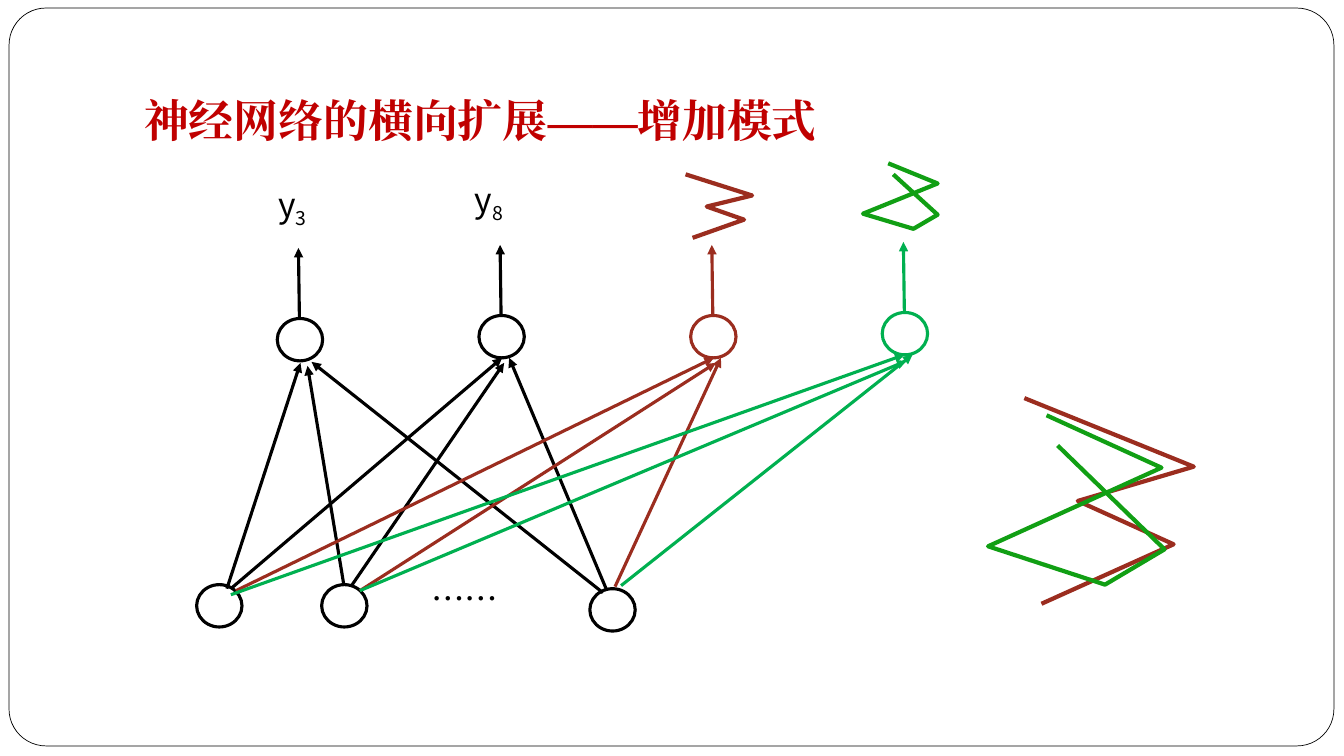
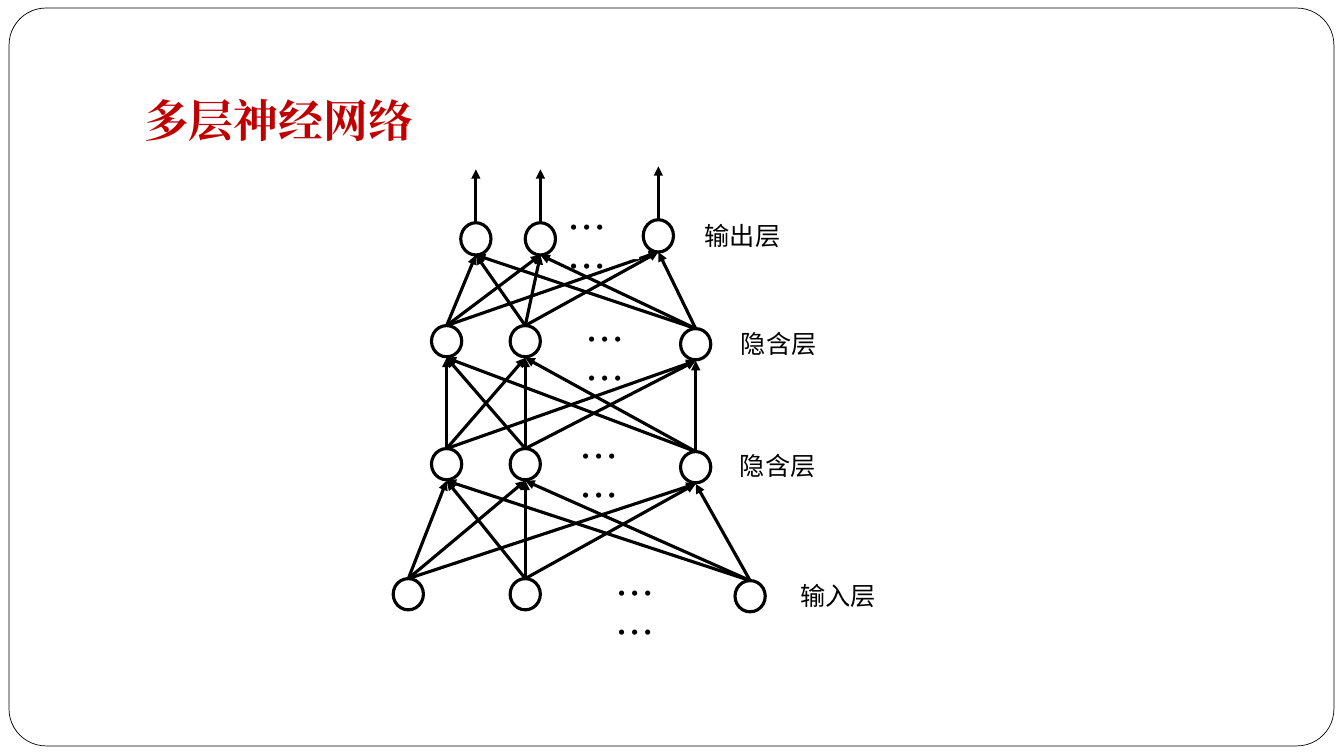
from dataclasses import dataclass
from itertools import pairwise, product

from lxml.etree import SubElement
from pptx import Presentation
from pptx.dml.color import RGBColor
from pptx.enum.shapes import MSO_CONNECTOR, MSO_SHAPE
from pptx.enum.text import MSO_ANCHOR, MSO_AUTO_SIZE, PP_ALIGN
from pptx.oxml.ns import qn
from pptx.util import Inches, Pt

Point = tuple[float, float]

BLACK = RGBColor(0x00, 0x00, 0x00)
WHITE = RGBColor(0xFF, 0xFF, 0xFF)
TITLE_RED = RGBColor(0xC0, 0x00, 0x00)
BROWN = RGBColor(0x9B, 0x2D, 0x1F)
GREEN = RGBColor(0x00, 0xB0, 0x50)
PATTERN_GREEN = RGBColor(0x11, 0x9F, 0x14)

TITLE_FONT = "Times New Roman"
BODY_FONT = "Noto Sans CJK SC"
LINE_WIDTH = 2.25
PATTERN_WIDTH = 3
DOTS = "……"
DOTS_SPACING = 0.83
LABEL_SPACING = 0.9


@dataclass(frozen=True)
class OutputUnit:
    left: float
    top: float
    color: RGBColor
    edges: tuple[tuple[Point, Point], ...]


@dataclass(frozen=True)
class Label:
    left: float
    top: float
    width: float
    text: str
    size: float
    height: float = 0.52
    subscript: str = ""
    spacing: float = LABEL_SPACING


@dataclass(frozen=True)
class Pattern:
    color: RGBColor
    points: tuple[Point, ...]


@dataclass(frozen=True)
class Layer:
    """A row of nodes; the last one is shifted vertically."""
    centers: tuple[float, float, float]
    top: float
    last_shift: float
    label: Label
    dots: Label
    node_height: float = 0.31

    def nodes(self) -> list[Point]:
        shifts = (0, 0, self.last_shift)
        return [(x, self.top + shift) for x, shift in zip(self.centers, shifts)]


UNIT_WIDTH, UNIT_HEIGHT = 0.45, 0.42
UNIT_ARROW = 0.7
INPUT_UNITS = ((1.95, 5.8), (3.19, 5.8), (5.85, 5.84))
OUTPUT_UNITS = (
    OutputUnit(2.75, 3.16, BLACK, (
        ((2.25, 5.84), (2.98, 3.6)),
        ((3.41, 5.8), (3.05, 3.63)),
        ((5.98, 5.88), (3.09, 3.59)),
    )),
    OutputUnit(4.75, 3.13, BLACK, (
        ((2.29, 5.84), (4.98, 3.55)),
        ((3.48, 5.82), (5, 3.6)),
        ((6.02, 5.86), (5.05, 3.55)),
    )),
    OutputUnit(6.85, 3.13, BROWN, (
        ((2.34, 5.86), (7.08, 3.55)),
        ((3.57, 5.86), (7.1, 3.6)),
        ((6.1, 5.82), (7.15, 3.55)),
    )),
    OutputUnit(8.75, 3.1, GREEN, (
        ((2.29, 5.9), (8.97, 3.52)),
        ((3.57, 5.86), (8.99, 3.58)),
        ((6.16, 5.81), (9.05, 3.52)),
    )),
)
UNIT_LABELS = (
    Label(2.66, 1.78, 0.91, "y", 24, 0.68, "3"),
    Label(4.61, 1.73, 0.9, "y", 24, 0.68, "8"),
    Label(4.18, 5.75, 1.26, DOTS, 24, 0.68, spacing=DOTS_SPACING),
)
PATTERNS = (
    Pattern(BROWN, ((6.8, 1.73), (7.46, 1.94), (7.01, 2.05), (7.38, 2.18), (6.87, 2.36))),
    Pattern(PATTERN_GREEN, ((8.81, 1.62), (9.3, 1.82), (8.56, 2.12), (9.06, 2.27),
                            (9.3, 2.13), (8.86, 1.73))),
    Pattern(BROWN, ((10.16, 3.95), (11.84, 4.63), (10.69, 4.97), (11.64, 5.4), (10.33, 5.99))),
    Pattern(PATTERN_GREEN, ((10.38, 4.12), (11.52, 4.64), (9.8, 5.42), (10.96, 5.8),
                            (11.55, 5.45), (10.49, 4.42))),
)

NODE_WIDTH = 0.3
EDGE_END = 0.32
OUTPUT_ARROW = 0.53


def dots_label(left: float, top: float, width: float) -> Label:
    return Label(left, top, width, DOTS, 28, spacing=DOTS_SPACING)


LAYERS = (
    Layer((4.05, 5.21, 7.44), 5.74, 0.02,
          Label(7.84, 5.74, 1.11, "输入层", 18), dots_label(6.01, 5.68, 0.92)),
    Layer((4.43, 5.21, 6.9), 4.45, 0.03,
          Label(7.24, 4.45, 1.09, "隐含层", 18), dots_label(5.65, 4.32, 0.75)),
    Layer((4.43, 5.21, 6.9), 3.23, 0.03,
          Label(7.25, 3.24, 1.09, "隐含层", 18), dots_label(5.71, 3.16, 0.75)),
    Layer((4.72, 5.36, 6.53), 2.21, -0.03,
          Label(6.89, 2.17, 1.22, "输出层", 18), dots_label(5.53, 2.05, 0.81), 0.32),
)


def add_run(paragraph, text: str, size: float, font_name: str, color: RGBColor,
            bold: bool = False, baseline: int = 0) -> None:
    run = paragraph.add_run()
    run.text = text
    font = run.font
    font.size, font.name, font.bold = Pt(size), font_name, bold
    font.color.rgb = color
    properties = run._r.get_or_add_rPr()
    if baseline:
        properties.set("baseline", str(baseline))
    SubElement(properties, qn("a:ea"), typeface=font_name)


def style_line(shape, color: RGBColor, width: float) -> None:
    shape.line.color.rgb = color
    shape.line.width = Pt(width)


def add_node(slide, left: float, top: float, width: float, height: float,
             color: RGBColor = BLACK) -> None:
    node = slide.shapes.add_shape(MSO_SHAPE.OVAL, Inches(left), Inches(top),
                                  Inches(width), Inches(height))
    node.shadow.inherit = False
    node.fill.background()
    style_line(node, color, LINE_WIDTH)


def add_arrow(slide, start: Point, end: Point, color: RGBColor = BLACK) -> None:
    arrow = slide.shapes.add_connector(MSO_CONNECTOR.STRAIGHT,
                                       *(Inches(value) for value in (*start, *end)))
    style_line(arrow, color, LINE_WIDTH)
    SubElement(arrow.line._get_or_add_ln(), qn("a:tailEnd"), type="triangle")
    SubElement(arrow.element.spPr, qn("a:effectLst"))


def add_label(slide, label: Label) -> None:
    box = slide.shapes.add_textbox(Inches(label.left), Inches(label.top),
                                   Inches(label.width), Inches(label.height))
    box.fill.solid()
    box.fill.fore_color.rgb = WHITE
    box.text_frame.word_wrap = True
    paragraph = box.text_frame.paragraphs[0]
    paragraph.alignment = PP_ALIGN.JUSTIFY
    paragraph.line_spacing = label.spacing
    add_run(paragraph, label.text, label.size, BODY_FONT, BLACK)
    if label.subscript:
        add_run(paragraph, label.subscript, label.size, BODY_FONT, BLACK, baseline=-25000)


def add_pattern(slide, pattern: Pattern) -> None:
    start, *rest = [(Inches(x), Inches(y)) for x, y in pattern.points]
    builder = slide.shapes.build_freeform(*start)
    builder.add_line_segments(rest, close=False)
    outline = builder.convert_to_shape()
    outline.shadow.inherit = False
    outline.fill.background()
    style_line(outline, pattern.color, PATTERN_WIDTH)


def add_titled_slide(presentation, layout, title: str):
    slide = presentation.slides.add_slide(layout)
    paragraph = slide.shapes.title.text_frame.paragraphs[0]
    paragraph.alignment = PP_ALIGN.LEFT
    add_run(paragraph, title, 32, TITLE_FONT, TITLE_RED, bold=True)
    return slide


def format_layout_title(layout) -> None:
    title = next(shape for shape in layout.placeholders
                 if shape.placeholder_format.idx == 0)
    title.left, title.top = Inches(1.33), Inches(0.3)
    title.width, title.height = Inches(11.33), Inches(1.25)
    frame = title.text_frame
    frame.vertical_anchor = MSO_ANCHOR.BOTTOM
    frame.auto_size = MSO_AUTO_SIZE.NONE
    frame.margin_left = frame.margin_right = frame.margin_bottom = Inches(0.1)
    frame.margin_top = Inches(0.05)


def move_border_to_layout(slide, layout) -> None:
    """Draw the rounded border and hand it to the layout, behind everything."""
    border = slide.shapes.add_shape(MSO_SHAPE.ROUNDED_RECTANGLE, Inches(0.09), Inches(0.08),
                                    Inches(13.14), Inches(7.32))
    border.adjustments[0] = 0.05
    border.shadow.inherit = False
    border.fill.solid()
    border.fill.fore_color.rgb = WHITE
    style_line(border, BLACK, 0.5)
    layout.shapes.element.insert(2, border.element)


def draw_widened_network(slide) -> None:
    for left, top in INPUT_UNITS:
        add_node(slide, left, top, UNIT_WIDTH, UNIT_HEIGHT)
    for label in UNIT_LABELS:
        add_label(slide, label)
    for unit in OUTPUT_UNITS:
        add_node(slide, unit.left, unit.top, UNIT_WIDTH, UNIT_HEIGHT, unit.color)
        add_arrow(slide, (unit.left + 0.22, unit.top),
                  (unit.left + 0.21, unit.top - UNIT_ARROW), unit.color)
        for start, end in unit.edges:
            add_arrow(slide, start, end, unit.color)
    for pattern in PATTERNS:
        add_pattern(slide, pattern)


def draw_layered_network(slide) -> None:
    for lower, upper in pairwise(LAYERS):
        for start, (x, top) in product(lower.nodes(), upper.nodes()):
            add_arrow(slide, start, (x, top + EDGE_END))
    for x, top in LAYERS[-1].nodes():
        add_arrow(slide, (x, top), (x, top - OUTPUT_ARROW))
    for layer in LAYERS:
        add_label(slide, layer.label)
        add_label(slide, layer.dots)
        for x, top in layer.nodes():
            add_node(slide, x - NODE_WIDTH / 2, top, NODE_WIDTH, layer.node_height)


def main() -> None:
    presentation = Presentation()
    presentation.slide_width, presentation.slide_height = Inches(13.33), Inches(7.5)
    layout = presentation.slide_layouts.get_by_name("Title Only")
    format_layout_title(layout)

    widened = add_titled_slide(presentation, layout, "神经网络的横向扩展——增加模式")
    move_border_to_layout(widened, layout)
    draw_widened_network(widened)
    draw_layered_network(add_titled_slide(presentation, layout, "多层神经网络"))
    presentation.save("out.pptx")


if __name__ == "__main__":
    main()
